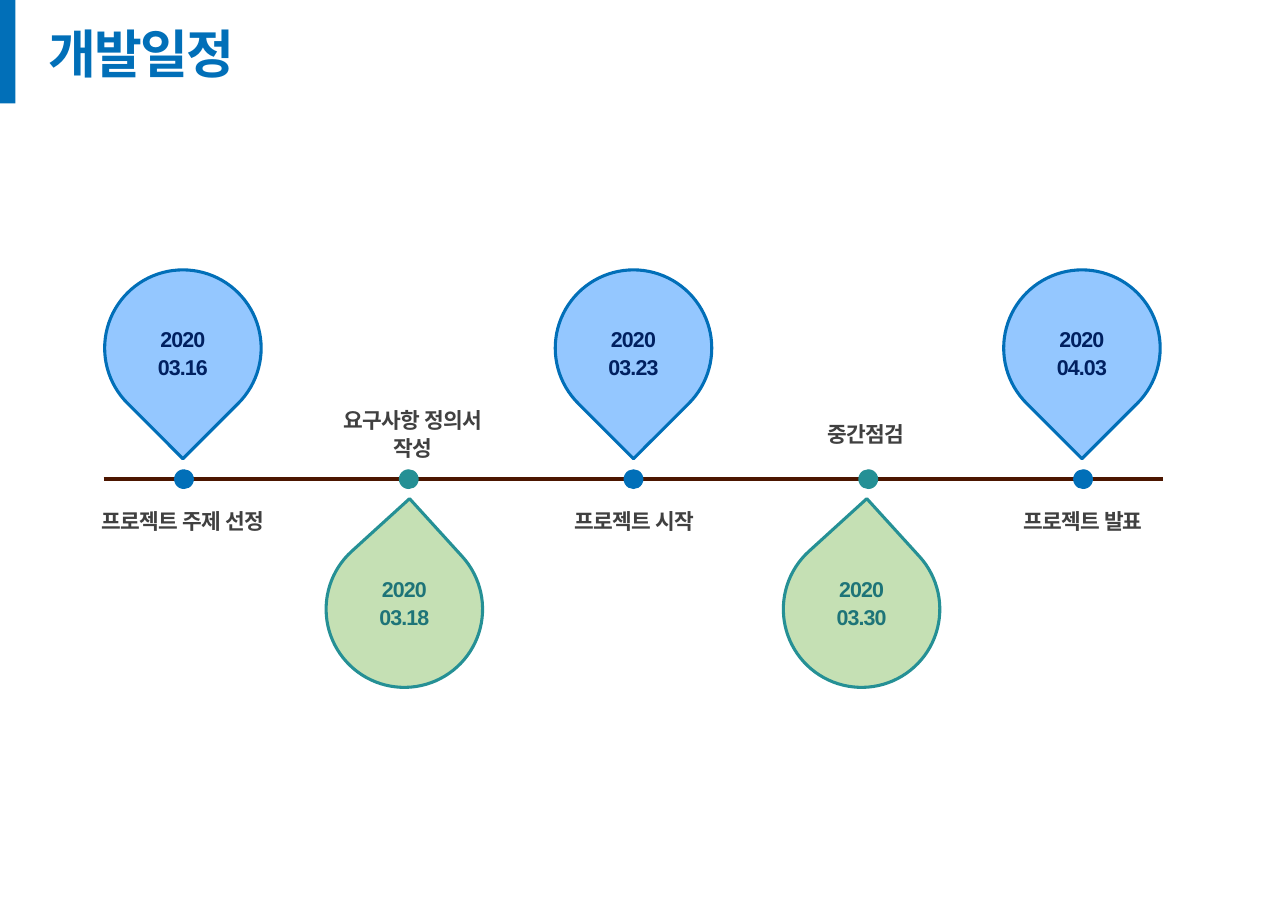
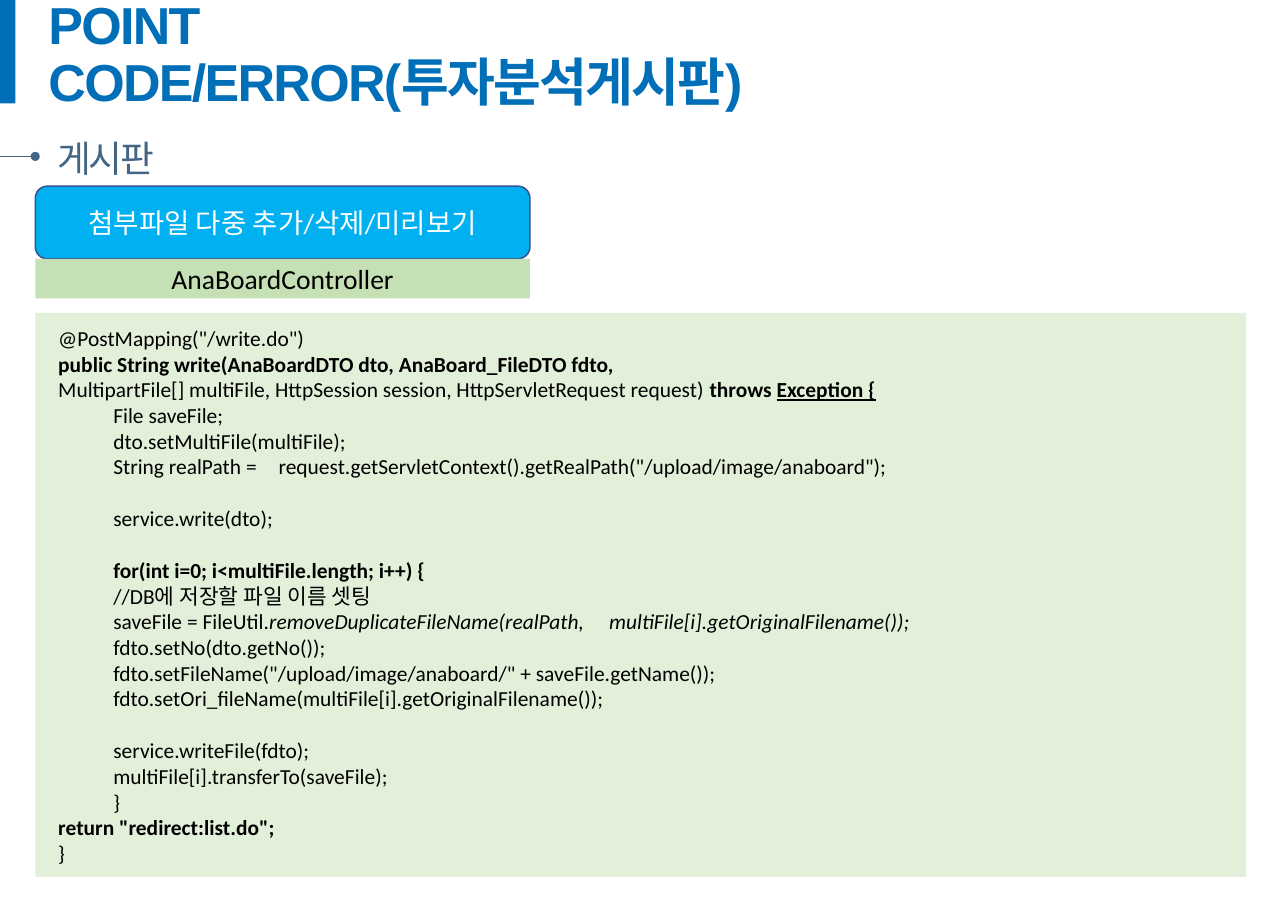
from lxml import etree
from pptx import Presentation
from pptx import util as u
from pptx.dml.color import RGBColor
from pptx.enum import shapes, text
from pptx.oxml.ns import qn

PX = 9144  # one hundred px to the inch
BLUE, TEAL, GREEN = "016FB8", "259095", "C5E0B4"
SLATE, BLACK, WHITE = "446684", "000000", "FFFFFF"
KIND = shapes.MSO_SHAPE
LEFT, MID = text.PP_ALIGN.LEFT, text.PP_ALIGN.CENTER
rgb = RGBColor.from_string


def draw(slide, kind, box, fill, line=None, width=1):
    """Add a flat preset shape, or a text box when kind is None."""
    box = [v * PX for v in box]
    if kind is None:
        return slide.shapes.add_textbox(*box)
    shape = slide.shapes.add_shape(kind, *box)
    shape.shadow.inherit = False
    shape.fill.solid()
    shape.fill.fore_color.rgb = rgb(fill)
    if line:
        shape.line.color.rgb = rgb(line)
        shape.line.width = u.Pt(width)
    else:
        shape.line.fill.background()
    return shape


def write(shape, words, size, hue, font, align=MID, bold=None, spc=0, wrap=True):
    """Fill a shape with middle-anchored text in one style."""
    frame = shape.text_frame
    frame.text = words
    frame.word_wrap = wrap
    frame.auto_size = text.MSO_AUTO_SIZE.NONE
    frame.vertical_anchor = text.MSO_ANCHOR.MIDDLE
    for i, para in enumerate(frame.paragraphs):
        para.alignment = align
        if i:
            para.space_before = u.Pt(1.7)
        for run in para.runs:
            run.font.size, run.font.bold = u.Pt(size), bold
            run.font.color.rgb = rgb(hue)
            run.font.name = font
            props = run.font._element
            props.set("spc", str(spc))
            props.find(qn("a:latin")).addnext(
                props.makeelement(qn("a:ea"), {"typeface": font}))
    return frame


deck = Presentation()
deck.slide_width, deck.slide_height = 1169 * PX, 827 * PX
base = deck.slide_layouts[5]
head = base.placeholders[0]
head.left, head.top, head.width, head.height = [v * PX for v in (34, 20, 781, 62)]

# Titles, on a layout that carries the blue bar
plan, code = [deck.slides.add_slide(base) for _ in range(2)]
bar = draw(plan, KIND.RECTANGLE, (0, 0, 14, 94), BLUE)
base.shapes._spTree.append(bar._element)
for slide, name in ((plan, "개발일정"), (code, "POINT CODE/ERROR(투자분석게시판)")):
    frame = write(slide.shapes.title, name, 34, BLUE, "Arial", LEFT, True, -110)
    frame.paragraphs[0].line_spacing = 0.9

# Time axis and heading rule
for slide, start, end, y, hue, width, tail in (
        (plan, 94, 1056, 435, "4C1600", 2.25, None),
        (code, 0, 32, 142, SLATE, 0.5, "oval")):
    rule = slide.shapes.add_connector(
        shapes.MSO_CONNECTOR.STRAIGHT, start * PX, y * PX, end * PX, y * PX)
    rule.line.color.rgb = rgb(hue)
    rule.line.width = u.Pt(width)
    if tail:
        etree.SubElement(rule.line._get_or_add_ln(), qn("a:tailEnd"), type=tail)
    etree.SubElement(rule._element.spPr, qn("a:effectLst"))

# Milestones: centres of dot, pin and label, then the words
steps = (
    (167, 166, 166, "03.16", "프로젝트 주제 선정"),
    (371, 367, 375, "03.18", "요구사항 정의서\n작성"),
    (575, 575, 576, "03.23", "프로젝트 시작"),
    (788, 782, 786, "03.30", "중간점검"),
    (983, 982, 983, "04.03", "프로젝트 발표"),
)
above = (245, 135, 284, 453, "94C7FF", BLUE, "002060")
below = (482, 317.7, 511, 374, GREEN, TEAL, "1E7478")
for i, (dot, pin, mid, date, label) in enumerate(steps):
    top, turn, row, foot, fill, edge, ink = below if i % 2 else above
    drop = draw(plan, KIND.TEAR, (pin - 71, top, 142, 142), fill, edge, 2)
    drop.rotation = turn
    draw(plan, KIND.OVAL, (dot - 9, 426, 18, 18), edge)
    for box, words, hue in (
            ((pin - 62, row, 124, 73), "2020\n" + date, ink),
            ((mid - 109, foot, 218, 40), label, "404040")):
        write(draw(plan, None, box, None), words, 14, hue, "Arial", bold=True, spc=-60)

# Heading, topic and class name
note = draw(code, None, (42, 118, 115, 50), None)
write(note, "게시판", 24, SLATE, "Noto Sans CJK KR", LEFT, spc=-150, wrap=False)
topic = draw(code, KIND.ROUNDED_RECTANGLE, (32, 169, 449, 66), "00B0F0", "325491")
write(topic, "첨부파일 다중 추가/삭제/미리보기", 18, WHITE, "Calibri")
draw(code, KIND.RECTANGLE, (32, 284, 1099, 512), "E2F0D9")
owner = draw(code, KIND.RECTANGLE, (32, 235, 449, 36), GREEN)
write(owner, "AnaBoardController", 18, BLACK, "Calibri")

# Code listing: each line is a list of (style, words); "" opens a gap
lines = (
    [("", '@PostMapping("/write.do")')],
    [("b", "public String write(AnaBoardDTO dto, AnaBoard_FileDTO fdto,")],
    [("", "MultipartFile[] multiFile, HttpSession session, HttpServletRequest request) "),
     ("b", "throws "), ("bu", "Exception {")],
    [("", "\tFile saveFile;")],
    [("", "\tdto.setMultiFile(multiFile);")],
    [("", '\tString realPath = \trequest.getServletContext().getRealPath("/upload/image/anaboard");')],
    "",
    [("", "\tservice.write(dto);")],
    "",
    [("b", "\tfor(int i=0; i<multiFile.length; i++) {")],
    [("", "\t//DB에 저장할 파일 이름 셋팅")],
    [("", "\tsaveFile = FileUtil."),
     ("i", "removeDuplicateFileName(realPath, \tmultiFile[i].getOriginalFilename());")],
    [("", "\tfdto.setNo(dto.getNo());")],
    [("", '\tfdto.setFileName("/upload/image/anaboard/" + saveFile.getName());')],
    [("", "\tfdto.setOri_fileName(multiFile[i].getOriginalFilename());")],
    "",
    [("", "\tservice.writeFile(fdto);")],
    [("", "\tmultiFile[i].transferTo(saveFile);")],
    [("", "\t}")],
    [("b", 'return "redirect:list.do";')],
    [("", "}")],
)
body = draw(code, None, (43, 290, 1069, 505), None).text_frame
body.word_wrap = True
para, gap = body.paragraphs[0], False
for i, line in enumerate(lines):
    if not line:
        gap = True
        continue
    if i:
        para = body.add_paragraph()
    if gap:
        para.space_before = u.Pt(17)
        gap = False
    tabs = etree.SubElement(para._p.get_or_add_pPr(), qn("a:tabLst"))
    for stop in (50, 200, 500):
        etree.SubElement(tabs, qn("a:tab"), pos=str(stop * PX), algn="l")
    para.font.size, para.font.name = u.Pt(14), "Calibri"
    for style, words in line:
        run = para.add_run()
        run.text = words
        font = run.font
        font.size, font.name = u.Pt(14), "Calibri"
        font.color.rgb = rgb(BLACK)
        font.bold, font.italic, font.underline = [key in style for key in "biu"]

deck.save("out.pptx")
